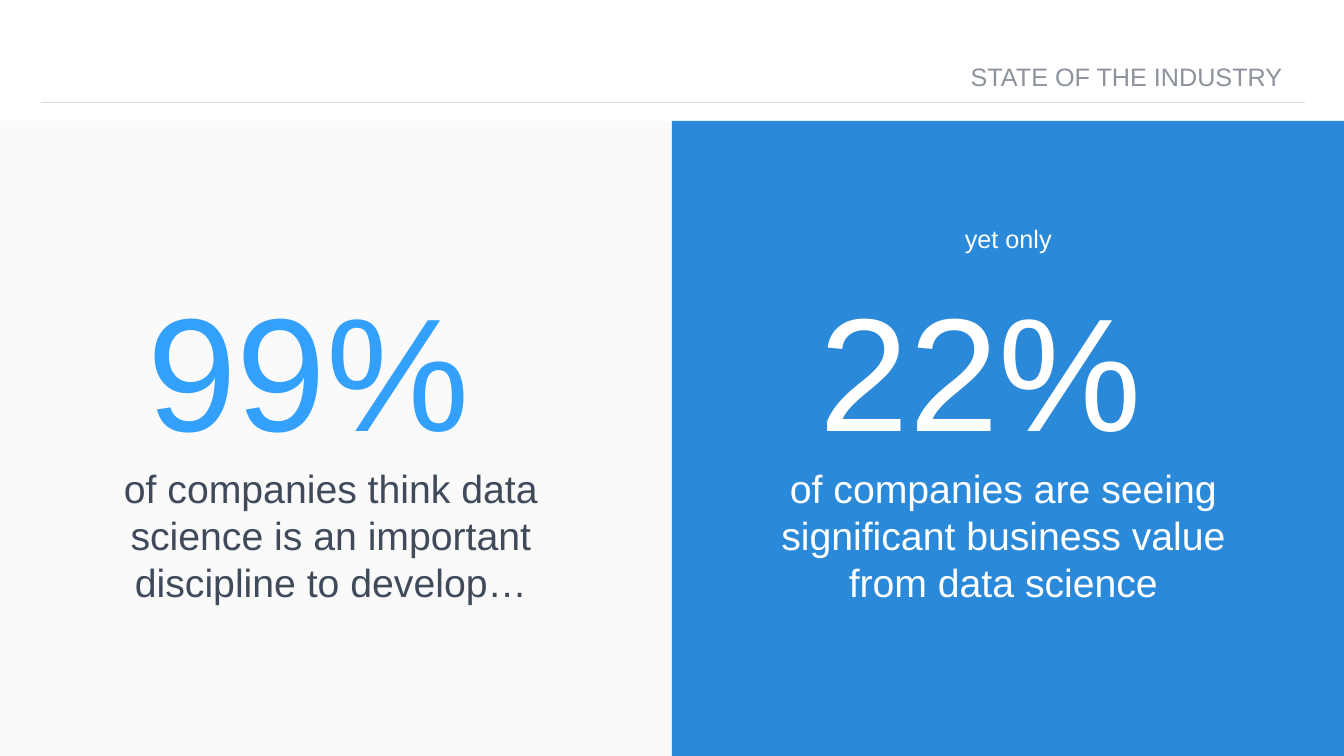
from dataclasses import dataclass

import lxml.etree
import pptx
import pptx.dml.color
import pptx.enum.shapes
import pptx.enum.text
import pptx.oxml.ns
import pptx.presentation
import pptx.slide
import pptx.util
from pptx.util import Inches

ALIGN = pptx.enum.text.PP_ALIGN
ANCHOR = pptx.enum.text.MSO_ANCHOR


@dataclass(frozen=True)
class Theme:
    font: str = "Arial"
    heading: str = "8C939D"
    rule: str = "D9DCDF"
    light: str = "FAFAFA"
    blue: str = "2A89D8"
    bright: str = "33A1FC"
    dark: str = "3F4B5A"
    white: str = "FFFFFF"
    small: int = 18
    body: int = 28
    figure: int = 115


@dataclass(frozen=True)
class Line:
    text: str
    size: int
    color: str


@dataclass(frozen=True)
class Panel:
    fill: str
    text_left: float
    text_width: float
    lines: tuple[Line, ...]


THEME = Theme()
WIDTH, HEIGHT = 13.33, 7.5
PANEL_TOP = 1.2
PANELS = (
    Panel(THEME.light, 0.56, 5.54, (
        Line("99% ", THEME.figure, THEME.bright),
        Line("of companies think data science is an important discipline to develop…",
             THEME.body, THEME.dark),
    )),
    Panel(THEME.blue, 7.4, 5.2, (
        Line("22% ", THEME.figure, THEME.white),
        Line("of companies are seeing significant business value from data science",
             THEME.body, THEME.white),
    )),
)


def rgb(color: str) -> pptx.dml.color.RGBColor:
    return pptx.dml.color.RGBColor.from_string(color)


def add_text(s: pptx.slide.Slide, lines: tuple[Line, ...], *, left: float, top: float,
             width: float, height: float, align: ALIGN = ALIGN.CENTER,
             anchor: ANCHOR = ANCHOR.MIDDLE, inset_left: float = 0,
             inset_right: float = 0.1) -> None:
    """Add a text box with one paragraph per line."""
    sp = s.shapes.add_textbox(Inches(left), Inches(top), Inches(width), Inches(height))
    tf = sp.text_frame
    tf.word_wrap = True
    tf.vertical_anchor = anchor
    tf.margin_left, tf.margin_right = Inches(inset_left), Inches(inset_right)
    tf.margin_top = tf.margin_bottom = Inches(0.05)
    for i, line in enumerate(lines):
        p = tf.add_paragraph() if i else tf.paragraphs[0]
        p.alignment = align
        r = p.add_run()
        r.text = line.text
        r.font.name = THEME.font
        r.font.size = pptx.util.Pt(line.size)
        r.font.color.rgb = rgb(line.color)


def add_rule(s: pptx.slide.Slide, left: float, right: float, y: float) -> None:
    sp = s.shapes.add_connector(pptx.enum.shapes.MSO_CONNECTOR.STRAIGHT,
                                Inches(left), Inches(y), Inches(right), Inches(y))
    sp.line.color.rgb = rgb(THEME.rule)
    sp.line.width = pptx.util.Pt(1)
    lxml.etree.SubElement(sp._element.spPr, pptx.oxml.ns.qn("a:effectLst"))


def add_panel(s: pptx.slide.Slide, panel: Panel, left: float) -> None:
    sp = s.shapes.add_shape(pptx.enum.shapes.MSO_SHAPE.RECTANGLE,
                            Inches(left), Inches(PANEL_TOP),
                            Inches(WIDTH / 2), Inches(HEIGHT - PANEL_TOP))
    sp.shadow.inherit = False
    sp.fill.solid()
    sp.fill.fore_color.rgb = rgb(panel.fill)
    sp.line.fill.background()
    add_text(s, panel.lines, left=panel.text_left, top=2.44,
             width=panel.text_width, height=3.81)


def main() -> None:
    prs = pptx.Presentation()
    prs.slide_width, prs.slide_height = Inches(WIDTH), Inches(HEIGHT)
    s = prs.slides.add_slide(prs.slide_layouts[6])
    add_text(s, (Line("STATE OF THE INDUSTRY", THEME.small, THEME.heading),),
             left=8.72, top=0.6, width=4.24, height=0.32,
             align=ALIGN.RIGHT, inset_right=0.24)
    add_rule(s, 0.41, 12.94, 1.02)
    for i, panel in enumerate(PANELS):
        add_panel(s, panel, i * WIDTH / 2)
    add_text(s, (Line("yet only", THEME.small, THEME.white),),
             left=9.15, top=2.17, width=1.7, height=0.4,
             anchor=ANCHOR.TOP, inset_left=0.1)
    prs.save("out.pptx")


if __name__ == "__main__":
    main()
